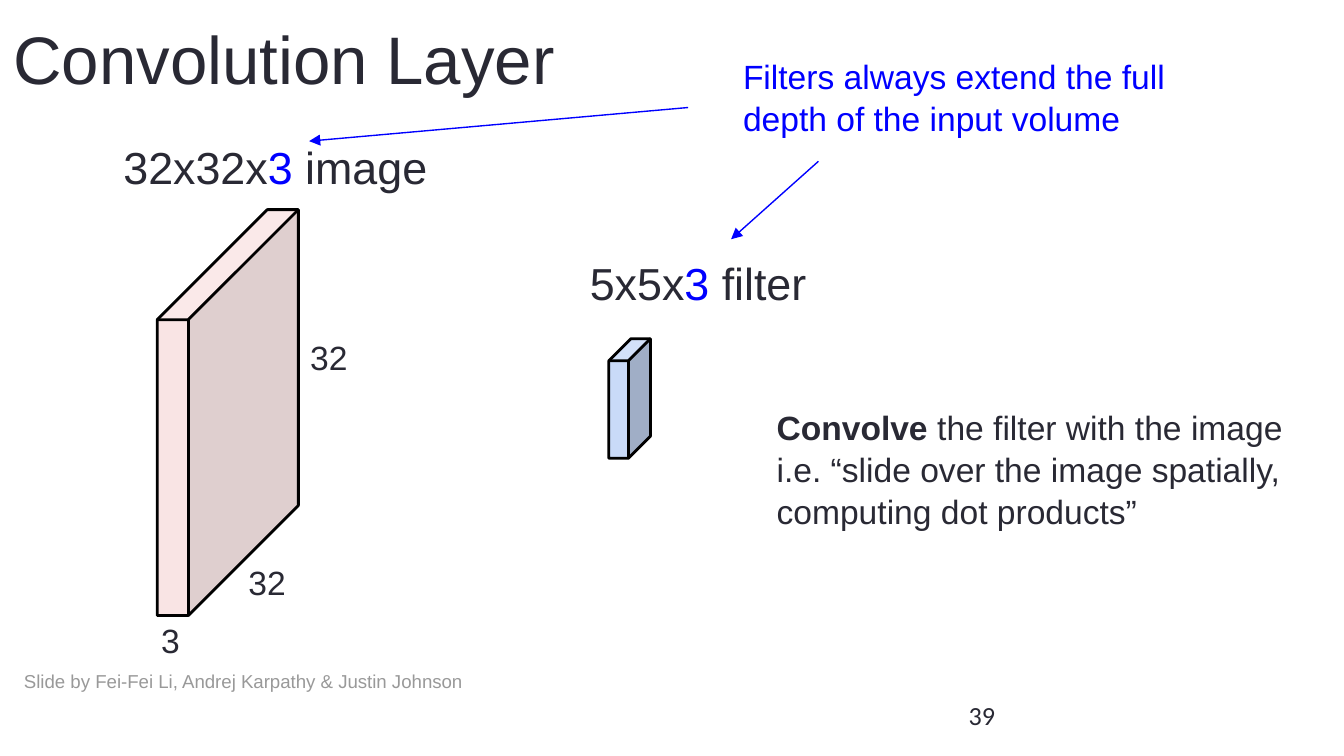
import pptx
from lxml import etree
from pptx.dml.color import RGBColor
from pptx.enum.shapes import MSO_CONNECTOR, MSO_SHAPE
from pptx.enum.text import MSO_ANCHOR
from pptx.oxml.ns import qn
from pptx.util import Inches, Pt

CELL = Inches(10) // 100  # the slide is a grid of 100 columns by 56.25 rows

INK = RGBColor(0x29, 0x29, 0x34)
BLUE = RGBColor(0x00, 0x00, 0xFF)
GRAY = RGBColor(0x99, 0x99, 0x99)
BLACK = RGBColor(0x00, 0x00, 0x00)
PINK = RGBColor(0xF4, 0xCC, 0xCC)
PALE_BLUE = RGBColor(0xC9, 0xDA, 0xF8)

BODY = {"name": "Arial", "size": Pt(18)}
HEADING = {"name": "Arial", "size": Pt(24)}
TITLE = {"name": "Arial", "size": Pt(36)}
CREDIT = {"name": "Arial", "size": Pt(10)}
NUMBER = {"name": "Calibri", "size": Pt(14)}


def cells(*counts):
    return [round(count * CELL) for count in counts]


def add_text(slide, box, paragraphs, font_format, anchor=MSO_ANCHOR.TOP):
    """Write paragraphs, each a list of (text, colour, bold) runs."""
    frame = slide.shapes.add_textbox(*cells(*box)).text_frame
    frame_format = {"word_wrap": True, "vertical_anchor": anchor}
    for side in ("left", "top", "right", "bottom"):
        frame_format[f"margin_{side}"] = CELL
    for name, value in frame_format.items():
        setattr(frame, name, value)
    for index, runs in enumerate(paragraphs):
        paragraph = frame.add_paragraph() if index else frame.paragraphs[0]
        paragraph.line_spacing = 1.05
        for text, color, bold in runs:
            run = paragraph.add_run()
            run.text = text
            for name, value in {**font_format, "bold": bold}.items():
                setattr(run.font, name, value)
            run.font.color.rgb = color


def add_label(slide, box, text, font_format=BODY, color=INK, anchor=MSO_ANCHOR.TOP):
    add_text(slide, box, [[(text, color, False)]], font_format, anchor)


def add_size_heading(slide, box, size, noun):
    """Write a size whose depth of 3 is picked out in blue."""
    runs = [(size, INK, False), ("3", BLUE, False), (f" {noun}", INK, False)]
    add_text(slide, box, [runs], HEADING)


def add_volume(slide, box, depth, color, opacity=100):
    cube = slide.shapes.add_shape(MSO_SHAPE.CUBE, *cells(*box))
    cube.shadow.inherit = False
    cube.adjustments[0] = depth
    cube.fill.solid()
    cube.fill.fore_color.rgb = color
    cube.line.color.rgb = BLACK
    cube.line.width = Pt(1.5)
    if opacity < 100:
        fill_color = cube._element.spPr.find(f"{qn('a:solidFill')}/{qn('a:srgbClr')}")
        etree.SubElement(fill_color, qn("a:alpha"), val=str(opacity * 1000))


def add_arrow(slide, start, end):
    arrow = slide.shapes.add_connector(MSO_CONNECTOR.STRAIGHT, *cells(*start, *end))
    arrow.line.color.rgb = BLUE
    arrow.line.width = Pt(0.75)
    line = arrow._element.spPr.find(qn("a:ln"))
    etree.SubElement(line, qn("a:tailEnd"), type="triangle")
    etree.SubElement(arrow._element.spPr, qn("a:effectLst"))


def main():
    presentation = pptx.Presentation()
    presentation.slide_width, presentation.slide_height = cells(100, 56.25)
    slide = presentation.slides.add_slide(presentation.slide_layouts[6])

    add_label(slide, (0.8, 48.5, 36.1, 4.2),
              "Slide by Fei-Fei Li, Andrej Karpathy & Justin Johnson",
              CREDIT, GRAY, MSO_ANCHOR.MIDDLE)
    add_label(slide, (71.1, 51, 6, 4.3), "39", NUMBER, anchor=MSO_ANCHOR.MIDDLE)
    add_label(slide, (0, 0, 84.2, 7.2), "Convolution Layer", TITLE)

    add_volume(slide, (11.7, 15.6, 10.5, 30.2), 0.78, PINK, opacity=52)
    add_size_heading(slide, (8.2, 9.2, 36.6, 5.2), "32x32x", "image")
    add_label(slide, (17.5, 40.7, 5.4, 3.4), "32")
    add_label(slide, (22.1, 23.9, 5.4, 3.1), "32")
    add_label(slide, (11, 45, 5.4, 2), "3")

    add_volume(slide, (45.3, 25.2, 3.1, 8.9), 0.53, PALE_BLUE)
    add_size_heading(slide, (42.9, 17.8, 23.1, 3.9), "5x5x", "filter")

    add_text(slide, (56.8, 29.1, 43.2, 8.3), [
        [("Convolve ", INK, True), ("the filter with the image", INK, False)],
        [("i.e. “slide over the image spatially, computing dot products”", INK, False)],
    ], BODY)

    add_label(slide, (54.3, 3, 35.9, 6.4),
              "Filters always extend the full depth of the input volume", color=BLUE)
    add_arrow(slide, (60.9, 12), (54.4, 17.8))
    add_arrow(slide, (51.2, 8), (23, 10.5))

    presentation.save("out.pptx")


if __name__ == "__main__":
    main()
